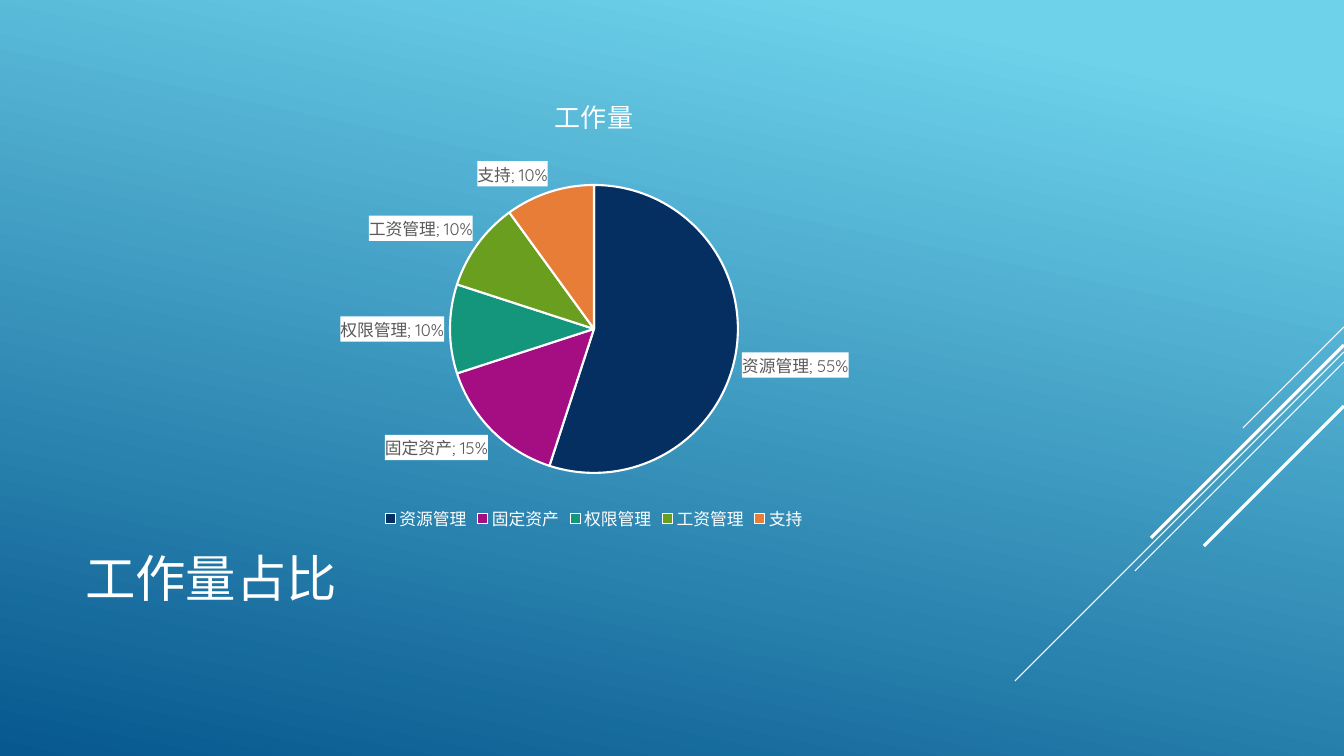
from dataclasses import dataclass

from lxml.etree import SubElement
from pptx import Presentation
from pptx.chart.data import CategoryChartData
from pptx.dml.color import RGBColor
from pptx.enum.chart import XL_CHART_TYPE as ChartType
from pptx.enum.chart import XL_LABEL_POSITION as LabelPosition
from pptx.enum.chart import XL_LEGEND_POSITION as LegendPosition
from pptx.enum.shapes import MSO_CONNECTOR as Connector
from pptx.enum.text import MSO_ANCHOR as Anchor
from pptx.enum.text import PP_ALIGN as Align
from pptx.oxml import parse_xml
from pptx.oxml.ns import nsdecls, qn
from pptx.slide import Slide
from pptx.util import Pt

EMU_PER_PX = 914400 / 100.8
SLIDE_W, SLIDE_H = 1344, 756
CHART_LEFT, CHART_TOP, CHART_W, CHART_H = 75, 75, 1038, 460
PIE_LEFT, PIE_TOP, PIE_SIZE = 375, 110, 288
FONT = "Quicksand"
WHITE = RGBColor(0xFF, 0xFF, 0xFF)
GREY = RGBColor(0x59, 0x59, 0x59)
SKY = RGBColor(0x6E, 0xD2, 0xEB)
DEEP_BLUE = RGBColor(0x06, 0x58, 0x8E)
NAVY = RGBColor(0x05, 0x2F, 0x61)
MAGENTA = RGBColor(0xA5, 0x0E, 0x82)
TEAL = RGBColor(0x14, 0x96, 0x7C)
GREEN = RGBColor(0x6A, 0x9E, 0x1F)
ORANGE = RGBColor(0xE8, 0x7D, 0x37)


@dataclass(frozen=True)
class Workload:
    name: str
    percent: int
    color: RGBColor


@dataclass(frozen=True)
class Streak:
    right_y: int
    length: int
    weight: float


WORKLOADS = [
    Workload("资源管理", 55, NAVY),
    Workload("固定资产", 15, MAGENTA),
    Workload("权限管理", 10, TEAL),
    Workload("工资管理", 10, GREEN),
    Workload("支持", 10, ORANGE),
]
STREAKS = [
    Streak(327, 101, 0.75),
    Streak(352, 329, 0.75),
    Streak(362, 209, 0.75),
    Streak(345, 193, 2.25),
    Streak(406, 140, 2.25),
]
PIE_LAYOUT = {
    "x": PIE_LEFT / CHART_W,
    "y": PIE_TOP / CHART_H,
    "w": PIE_SIZE / CHART_W,
    "h": PIE_SIZE / CHART_H,
}


def px(length: int) -> int:
    return round(length * EMU_PER_PX)


def set_all(target: object, values: dict[str, object]) -> None:
    for key, value in values.items():
        setattr(target, key, value)


def style_font(font: object, size: float, color: RGBColor = WHITE) -> None:
    set_all(font, {"name": FONT, "size": Pt(size), "bold": False})
    font.color.rgb = color


def paint_background(slide: Slide) -> None:
    fill = slide.background.fill
    fill.gradient()
    fill.gradient_angle = 360 - 102
    for stop, color, position in zip(fill.gradient_stops, (SKY, DEEP_BLUE), (0.1, 1)):
        stop.color.rgb = color
        stop.position = position


def draw_streak(slide: Slide, streak: Streak) -> None:
    line = slide.shapes.add_connector(
        Connector.STRAIGHT,
        px(SLIDE_W),
        px(streak.right_y),
        px(SLIDE_W - streak.length),
        px(streak.right_y + streak.length),
    )
    line.line.color.rgb = WHITE
    line.line.width = Pt(streak.weight)
    SubElement(line._element.spPr, qn("a:effectLst"))


def write_title(slide: Slide) -> None:
    title = slide.shapes.title
    set_all(title, {"left": px(75), "top": px(494), "width": px(940), "height": px(166)})
    frame = title.text_frame
    frame.text = "工作量占比"
    set_all(frame, {"vertical_anchor": Anchor.MIDDLE, "word_wrap": True})
    heading = frame.paragraphs[0]
    heading.alignment = Align.LEFT
    style_font(heading.runs[0].font, 36)


def draw_pie(slide: Slide) -> None:
    data = CategoryChartData()
    data.categories = [workload.name for workload in WORKLOADS]
    data.add_series("工作量", [workload.percent for workload in WORKLOADS])
    chart = slide.shapes.add_chart(
        ChartType.PIE, px(CHART_LEFT), px(CHART_TOP), px(CHART_W), px(CHART_H), data
    ).chart
    style_font(chart.font, 10)

    set_all(chart, {"has_title": True, "has_legend": True})
    chart.chart_title.text_frame.text = "工作量"
    style_font(chart.chart_title.text_frame.paragraphs[0].runs[0].font, 18.6)
    set_all(chart.legend, {"position": LegendPosition.BOTTOM, "include_in_layout": False})
    style_font(chart.legend.font, 12)

    plot = chart.plots[0]
    plot.vary_by_categories = True
    for index, workload in enumerate(WORKLOADS):
        slice_format = plot.series[0].points[index].format
        slice_format.fill.solid()
        slice_format.fill.fore_color.rgb = workload.color
        slice_format.line.color.rgb = WHITE
        slice_format.line.width = Pt(1.5)

    labels = plot.series[0].data_labels
    set_all(labels, {
        "show_category_name": True,
        "show_percentage": True,
        "show_value": False,
        "show_legend_key": False,
        "position": LabelPosition.OUTSIDE_END,
    })
    style_font(labels.font, 12, GREY)
    label_xml = labels._element
    label_text = label_xml.find(qn("c:txPr"))
    label_text.find(qn("a:bodyPr")).set("wrap", "none")
    label_text.addprevious(parse_xml(
        f'<c:spPr {nsdecls("c", "a")}><a:solidFill><a:srgbClr val="{WHITE}"/>'
        "</a:solidFill></c:spPr>"
    ))
    label_xml.find(qn("c:showBubbleSize")).addnext(parse_xml(
        f'<c:separator {nsdecls("c")}>; </c:separator>'
    ))

    plot_area = chart._chartSpace.chart.plotArea
    for old_layout in plot_area.findall(qn("c:layout")):
        plot_area.remove(old_layout)
    layout = parse_xml(
        f'<c:layout {nsdecls("c")}><c:manualLayout><c:layoutTarget val="inner"/>'
        '<c:xMode val="edge"/><c:yMode val="edge"/></c:manualLayout></c:layout>'
    )
    for side, share in PIE_LAYOUT.items():
        SubElement(layout[0], qn(f"c:{side}")).set("val", str(share))
    plot_area.insert(0, layout)


deck = Presentation()
set_all(deck, {"slide_width": px(SLIDE_W), "slide_height": px(SLIDE_H)})
workload_slide = deck.slides.add_slide(deck.slide_layouts.get_by_name("Title Only"))
paint_background(workload_slide)
for streak in STREAKS:
    draw_streak(workload_slide, streak)
write_title(workload_slide)
draw_pie(workload_slide)
deck.save("out.pptx")
